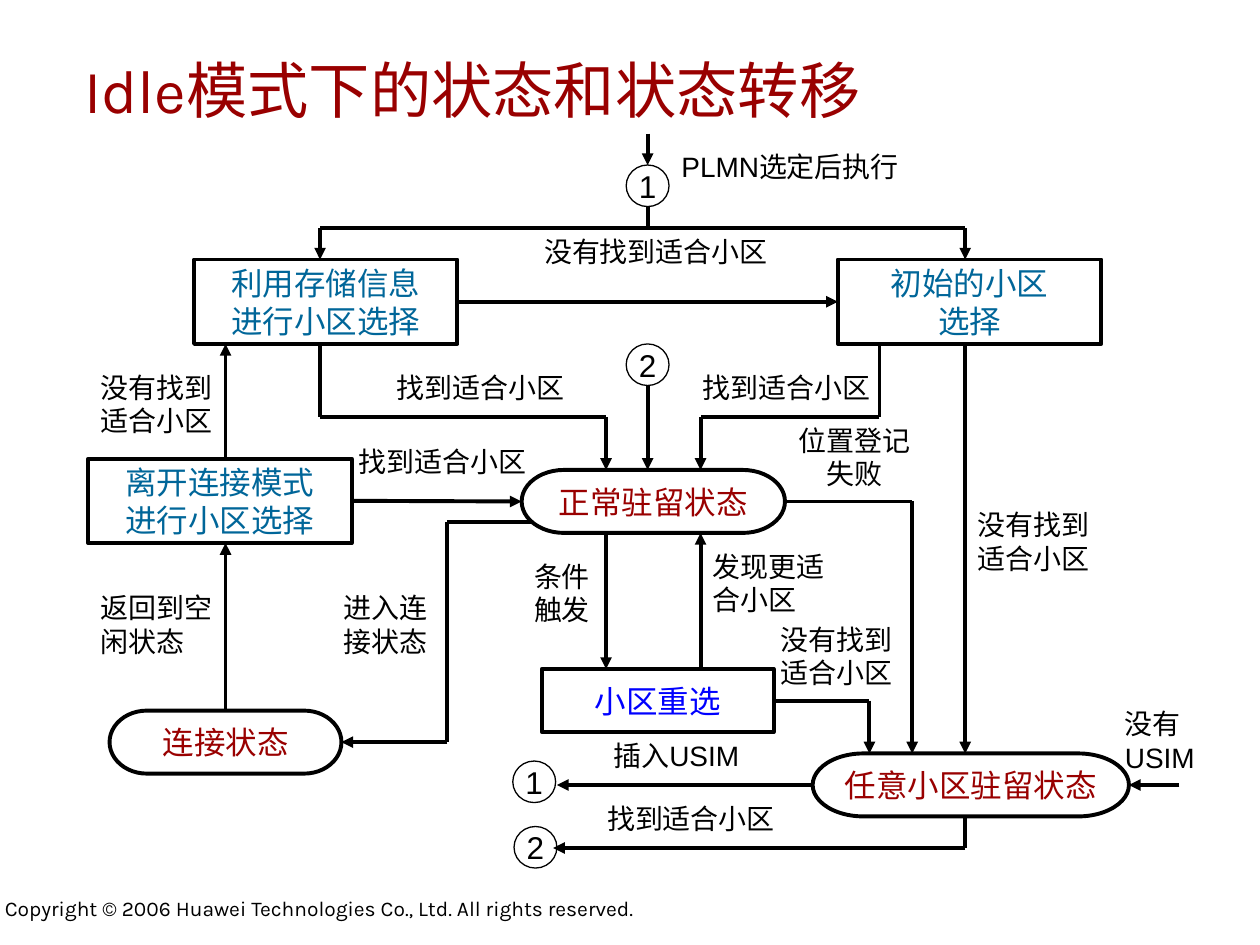
from dataclasses import dataclass
from lxml import etree
from pptx import Presentation
from pptx import util as u
from pptx.dml.color import RGBColor
from pptx.enum import shapes, text
from pptx.oxml import ns


@dataclass(frozen=True)
class Theme:
    ink: str = "000000"
    red: str = "990000"
    teal: str = "006699"
    blue: str = "0000FF"
    body: str = "Arial"
    head: str = "Karla"
    title: int = 35
    node: int = 18
    label: int = 16
    foot: int = 12
    thick: float = 2.25
    thin: float = 0.75


T = Theme()
KIND = shapes.MSO_SHAPE
MID = text.MSO_ANCHOR.MIDDLE
TOP = text.MSO_ANCHOR.TOP
LEFT = text.PP_ALIGN.LEFT
MIDST = text.PP_ALIGN.CENTER

TITLE = ("Idle模式下的状态和状态转移", 0.57, 0.2, 7.31, 1.01)
FOOT = ("Copyright © 2006 Huawei Technologies Co., Ltd. All rights reserved.",
        -0.06, 7.06, 7, 0.29)

STATES = [
    ("正常驻留状态", 4.14, 3.73, 2.09),
    ("连接状态", 0.87, 5.64, 1.84),
    ("任意小区驻留状态", 6.45, 5.98, 2.51),
]
STEPS = [
    ("利用存储信息\n进行小区选择", 1.54, 2.06, 2.09, 0.67, T.teal),
    ("初始的小区\n选择", 6.65, 2.06, 2.09, 0.67, T.teal),
    ("小区重选", 4.3, 5.31, 1.84, 0.5, T.blue),
    ("离开连接模式\n进行小区选择", 0.7, 3.64, 2.09, 0.67, T.teal),
]
MARKS = [("1", 4.97, 1.31), ("1", 4.07, 6.04), ("2", 4.97, 2.73), ("2", 4.08, 6.56)]

ROUTES = [
    [(5.14, 1.06), (5.14, 1.31)],
    [(5.14, 1.64), (5.14, 1.81), (2.54, 1.81), (2.54, 2.06)],
    [(5.14, 1.81), (7.66, 1.81), (7.66, 2.06)],
    [(3.63, 2.39), (6.65, 2.39)],
    [(7.66, 2.73), (7.66, 5.98)],
    [(4.81, 4.23), (4.81, 5.31)],
    [(5.56, 5.31), (5.56, 4.23)],
    [(5.14, 3.06), (5.14, 3.73)],
    [(2.54, 2.73), (2.54, 3.31), (4.81, 3.31), (4.81, 3.73)],
    [(6.98, 2.73), (6.98, 3.31), (5.56, 3.31), (5.56, 3.73)],
    [(2.79, 3.98), (4.14, 3.98)],
    [(1.79, 5.64), (1.79, 4.31)],
    [(1.79, 3.64), (1.79, 2.73)],
    [(4.22, 4.14), (3.55, 4.14), (3.55, 5.89), (2.71, 5.89)],
    [(6.23, 3.98), (7.24, 3.98), (7.24, 5.98)],
    [(6.14, 5.56), (6.9, 5.56), (6.9, 5.98)],
    [(9.36, 6.23), (8.96, 6.23)],
    [(6.45, 6.23), (4.42, 6.23)],
    [(7.66, 6.48), (7.66, 6.73), (4.39, 6.73)],
]

LABELS = [
    ("PLMN选定后执行", 5.31, 1.14, 2.09, 1, LEFT),
    ("没有找到适合小区", 4.22, 1.81, 2.09, 1, LEFT),
    ("找到适合小区", 5.48, 2.89, 1.59, 1, LEFT),
    ("找到适合小区", 3.05, 2.89, 1.59, 1, LEFT),
    ("找到适合小区", 2.75, 3.48, 1.59, 1, LEFT),
    ("没有找到适合小区", 0.7, 2.89, 1.26, 2, LEFT),
    ("返回到空闲状态", 0.7, 4.64, 1.26, 2, LEFT),
    ("没有找到适合小区", 6.1, 4.89, 1.17, 2, LEFT),
    ("找到适合小区", 4.72, 6.31, 1.59, 1, LEFT),
    ("插入USIM", 4.77, 5.81, 1.59, 1, LEFT),
    ("没有USIM", 8.83, 5.56, 0.83, 2, LEFT),
    ("发现更适合小区", 5.56, 4.31, 1.26, 2, LEFT),
    ("条件触发", 4.14, 4.39, 0.84, 2, LEFT),
    ("进入连接状态", 2.63, 4.64, 1.01, 2, LEFT),
    ("没有找到适合小区", 7.66, 3.98, 1.26, 2, LEFT),
    ("位置登记失败", 6.15, 3.31, 1.26, 2, MIDST),
]


def write(shape, words, size, color, font=T.body, align=LEFT, anchor=TOP, wrap=True):
    frame = shape.text_frame
    frame.word_wrap = wrap
    frame.vertical_anchor = anchor
    for i, line in enumerate(words.split("\n")):
        para = frame.add_paragraph() if i else frame.paragraphs[0]
        para.alignment = align
        run = para.add_run()
        run.text = line
        run.font.size = u.Pt(size)
        run.font.name = font
        run.font.color.rgb = RGBColor.from_string(color)


def stroke(line, width):
    line.color.rgb = RGBColor.from_string(T.ink)
    line.width = u.Pt(width)


def add_box(slide, words, *area):
    return slide.shapes.add_textbox(*map(u.Inches, area))


def add_node(slide, kind, words, area, color, width):
    node = slide.shapes.add_shape(kind, *map(u.Inches, area))
    node.shadow.inherit = False
    node.fill.background()
    stroke(node.line, width)
    write(node, words, T.node, color, align=MIDST, anchor=MID, wrap=False)
    return node


def find_side(nodes, point):
    x, y = map(u.Inches, point)
    near = u.Inches(0.01)
    for node in nodes:
        mid = node.left + node.width // 2
        half = node.top + node.height // 2
        sides = [(mid, node.top), (node.left, half),
                 (mid, node.top + node.height), (node.left + node.width, half)]
        for site, (a, b) in enumerate(sides):
            if abs(a - x) <= near and abs(b - y) <= near:
                return node, site
    return None


def add_route(slide, nodes, points):
    for i, (start, end) in enumerate(zip(points, points[1:])):
        line = slide.shapes.add_connector(
            shapes.MSO_CONNECTOR.STRAIGHT, *map(u.Inches, start + end))
        stroke(line.line, T.thick)
        props = line.element.spPr
        etree.SubElement(props, ns.qn("a:effectLst"))
        if i == 0 and (side := find_side(nodes, start)):
            line.begin_connect(*side)
        if i == len(points) - 2:
            tip = etree.SubElement(props.find(ns.qn("a:ln")), ns.qn("a:tailEnd"))
            tip.set("type", "triangle")
            if side := find_side(nodes, end):
                line.end_connect(*side)


def main():
    deck = Presentation()
    deck.slide_width, deck.slide_height = u.Inches(10), u.Inches(7.5)
    slide = deck.slides.add_slide(deck.slide_layouts[6])

    write(add_box(slide, *FOOT), FOOT[0], T.foot, T.ink, T.head)
    write(add_box(slide, *TITLE), TITLE[0], T.title, T.red, T.head, anchor=MID)

    nodes = [add_node(slide, KIND.FLOWCHART_TERMINATOR, words, (x, y, w, 0.5), T.red, T.thick)
             for words, x, y, w in STATES]
    nodes += [add_node(slide, KIND.FLOWCHART_PROCESS, words, area, color, T.thick)
              for words, *area, color in STEPS]
    for words, x, y in MARKS:
        add_node(slide, KIND.OVAL, words, (x, y, 0.34, 0.33), T.ink, T.thin)
    for points in ROUTES:
        add_route(slide, nodes, points)
    for words, x, y, w, rows, align in LABELS:
        box = add_box(slide, words, x, y, w, 0.1 + 0.27 * rows)
        write(box, words, T.label, T.ink, align=align)

    deck.save("out.pptx")


if __name__ == "__main__":
    main()
